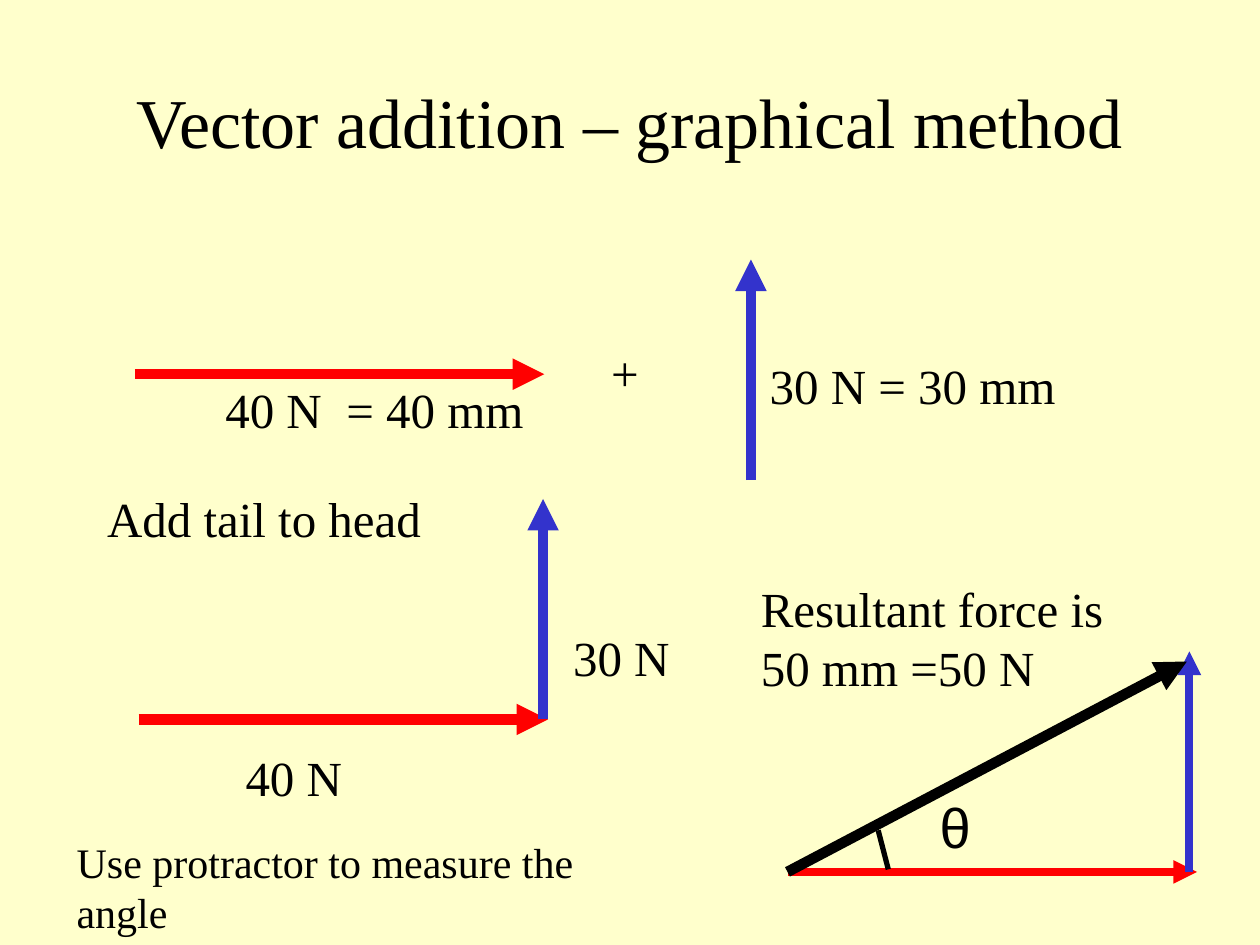
from dataclasses import dataclass
from lxml import etree
from pptx import Presentation
from pptx import util as u
from pptx.dml.color import RGBColor
from pptx.enum import shapes, text
from pptx.oxml.ns import qn


@dataclass(frozen=True)
class Theme:
    background: RGBColor = RGBColor(0xFF, 0xFF, 0xCC)
    ink: RGBColor = RGBColor(0, 0, 0)
    red: RGBColor = RGBColor(0xFF, 0, 0)
    blue: RGBColor = RGBColor(0x33, 0x33, 0xCC)
    font: str = "Times New Roman"
    symbol_font: str = "Arial"
    title: int = 40
    symbol: int = 32
    body: int = 28
    note: int = 24


theme = Theme()


def write(s, wording, size=theme.body, font=theme.font, align=text.PP_ALIGN.LEFT,
          anchor=text.MSO_ANCHOR.TOP, wrap=True):
    tf = s.text_frame
    tf.word_wrap = wrap
    tf.vertical_anchor = anchor
    p = tf.paragraphs[0]
    p.alignment = align
    r = p.add_run()
    r.text = wording
    r.font.size = u.Pt(size)
    r.font.name = font
    r.font.color.rgb = theme.ink


prs = Presentation()
prs.slide_width, prs.slide_height = u.Inches(10), u.Inches(7.5)
slide = prs.slides.add_slide(prs.slide_layouts[5])
slide.background.fill.solid()
slide.background.fill.fore_color.rgb = theme.background

title = slide.shapes.title
title.left, title.top = u.Inches(0.75), u.Inches(0.33)
title.width, title.height = u.Inches(8.5), u.Inches(1.25)
write(title, "Vector addition – graphical method", size=theme.title,
      align=text.PP_ALIGN.CENTER, anchor=text.MSO_ANCHOR.MIDDLE)

force_40, force_30 = 3.25, 1.75
lines = [
    (1.1, 5.71, force_40, 0, theme.red, 6, True),
    (4.31, 5.71, 0, -force_30, theme.blue, 6, True),
    (6.25, 6.92, force_40, 0, theme.red, 4.5, True),
    (9.44, 6.92, 0, -force_30, theme.blue, 4.5, True),
    (6.25, 6.92, 3.17, -1.67, theme.ink, 6, True),
    (1.07, 2.97, force_40, 0, theme.red, 6, True),
    (5.96, 3.81, 0, -force_30, theme.blue, 6, True),
    (6.97, 6.59, 0.08, 0.31, theme.ink, 3, False),
]
for x, y, dx, dy, color, weight, has_head in lines:
    s = slide.shapes.add_connector(
        shapes.MSO_CONNECTOR.STRAIGHT,
        u.Inches(x), u.Inches(y), u.Inches(x + dx), u.Inches(y + dy))
    s.line.color.rgb = color
    s.line.width = u.Pt(weight)
    if has_head:
        etree.SubElement(s.line._get_or_add_ln(), qn("a:tailEnd"), type="triangle")
    etree.SubElement(s._element.spPr, qn("a:effectLst"))

centered = dict(align=text.PP_ALIGN.CENTER, wrap=False)
labels = [
    ("40 N  = 40 mm", 1.69, 2.96, 2.84, 0.57, {}),
    ("+", 4.75, 2.67, 0.42, 0.57, centered),
    ("30 N = 30 mm", 6.01, 2.77, 3.08, 0.57, {}),
    ("Add tail to head", 0.75, 3.83, 2.69, 0.57, centered),
    ("30 N", 4.45, 4.93, 1.18, 0.57, {}),
    ("40 N", 1.85, 5.88, 1.92, 0.57, {}),
    ("Resultant force is 50 mm =50 N", 5.94, 4.54, 2.99, 1.03, {}),
    ("θ", 7.36, 6.24, 0.43, 0.63,
     dict(size=theme.symbol, font=theme.symbol_font, wrap=False)),
    ("Use protractor to measure the angle", 0.51, 6.59, 4.7, 0.9, dict(size=theme.note)),
]
for wording, x, y, w, h, style in labels:
    s = slide.shapes.add_textbox(u.Inches(x), u.Inches(y), u.Inches(w), u.Inches(h))
    write(s, wording, **style)

prs.save("out.pptx")
